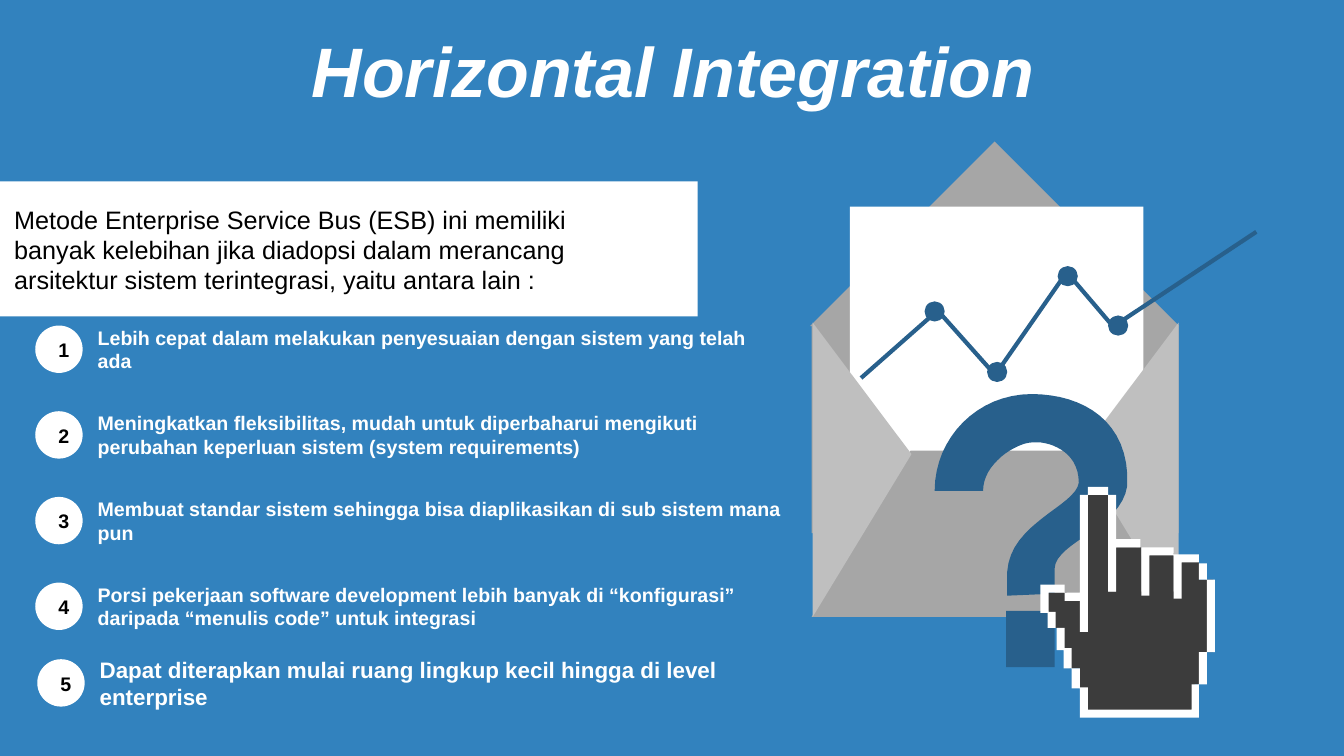
from pptx import Presentation
from pptx.dml.color import RGBColor
from pptx.enum.shapes import MSO_SHAPE
from pptx.enum.text import MSO_ANCHOR, PP_ALIGN
from pptx.util import Inches, Pt

RECT, OVAL = MSO_SHAPE.RECTANGLE, MSO_SHAPE.OVAL
TRIANGLE, RIGHT_TRIANGLE = MSO_SHAPE.ISOSCELES_TRIANGLE, MSO_SHAPE.RIGHT_TRIANGLE
TRAPEZOID = MSO_SHAPE.TRAPEZOID
MIDDLE = MSO_ANCHOR.MIDDLE
LEFT, CENTER = PP_ALIGN.LEFT, PP_ALIGN.CENTER

BLUE, NAVY, WHITE, BLACK = "3282BE", "28608C", "FFFFFF", "000000"
GREY, LIGHT_GREY, CHARCOAL = "A6A6A6", "BFBFBF", "3C3C3C"
UNITS = 1000  # freeform units per inch

INTRO = ("Metode Enterprise Service Bus (ESB) ini memiliki banyak kelebihan jika "
         "diadopsi dalam merancang arsitektur sistem terintegrasi, yaitu antara lain :")
# text, text width
BENEFITS = [
    ("Lebih cepat dalam melakukan penyesuaian dengan sistem yang telah ada", 7),
    ("Meningkatkan fleksibilitas, mudah untuk diperbaharui mengikuti perubahan "
     "keperluan sistem (system requirements)", 7.03),
    ("Membuat standar sistem sehingga bisa diaplikasikan di sub sistem mana pun", 7.15),
    ("Porsi pekerjaan software development lebih banyak di “konfigurasi” "
     "daripada “menulis code” untuk integrasi", 7.19),
]
LAST_BENEFIT = "Dapat diterapkan mulai ruang lingkup kecil hingga di level enterprise"

TREND = [(8.54, 3.75), (9.3, 3.08), (9.87, 3.72), (10.58, 2.7), (11.04, 3.24), (12.46, 2.3)]
DOTS = [(9.27, 3.09), (9.89, 3.69), (10.59, 2.74), (11.09, 3.23)]

# two points make a line, six numbers' worth of points make a Bezier curve
QUESTION_HOOK = [
    [(10.23, 3.91)],
    [(10.74, 3.91), (11.21, 4.18), (11.18, 4.82)],
    [(11.12, 5.24), (10.47, 5.38), (10.46, 5.64)],
    [(10.46, 5.89)],
    [(9.99, 5.91)],
    [(9.99, 5.83), (9.99, 5.75), (9.99, 5.67)],
    [(10.02, 5.19), (10.67, 5.02), (10.7, 4.79)],
    [(10.7, 4.46), (10.38, 4.37), (10.23, 4.39)],
    [(10.07, 4.4), (9.75, 4.6), (9.75, 4.87)],
    [(9.27, 4.87)],
    [(9.27, 4.34), (9.7, 3.91), (10.23, 3.91)],
]

# x, y, then new x and new y in turn
HAND = [10.79, 4.91, 10.99, 5.87, 11.07, 5.43, 11.32, 5.87, 11.39, 5.49, 11.64, 5.87,
        11.65, 5.57, 11.89, 5.75, 12.03, 6.47, 11.89, 6.79, 11.85, 7.06, 10.76, 6.83,
        10.71, 6.63, 10.61, 6.43, 10.51, 6.23, 10.43, 6.08, 10.33, 5.88, 10.58, 5.9,
        10.68, 5.91, 10.76, 5.87, 10.79]
HAND_EDGES = [
    [11.89, 6.47, 11.97, 6.79, 11.89, 7.12, 10.71, 6.82, 10.79, 7.04, 11.82, 6.79, 11.89],
    [10.48, 6.23, 10.56, 6.43, 10.63, 6.63, 10.71, 6.83, 10.63, 6.63, 10.55, 6.45, 10.48],
    [11.97, 5.75, 12.05, 6.47, 11.97],
    [11.89, 5.59, 11.97, 5.75, 11.89],
    [11.32, 5.43, 11.64, 5.5, 11.89, 5.58, 11.72, 5.94, 11.64, 5.51, 11.4, 5.91, 11.32],
    [10.99, 4.91, 11.07, 5.35, 11.31, 5.43, 11.07, 5.87, 10.99],
    [10.71, 4.91, 10.79, 6.27, 10.71, 5.96, 10.56, 5.88, 10.4, 6.07, 10.47, 6.23,
     10.39, 6.08, 10.32, 5.8, 10.56, 5.88, 10.71],
    [10.79, 4.83, 10.99, 4.91, 10.79],
]


def rgb(value):
    return RGBColor.from_string(value)


def stair(coords):
    """Corner points of an outline that turns at right angles."""
    return [(coords[i], coords[i + 1]) if i % 2 == 0 else (coords[i + 1], coords[i])
            for i in range(len(coords) - 1)]


def flatten(segments, steps=16):
    """Points along a chain of lines and cubic curves."""
    points = list(segments[0])
    for seg in segments[1:]:
        if len(seg) == 1:
            points += seg
            continue
        a, (b, c, d) = points[-1], seg
        for i in range(1, steps + 1):
            t = i / steps
            u = 1 - t
            weights = (u ** 3, 3 * u * u * t, 3 * u * t * t, t ** 3)
            points.append(tuple(sum(w * q[k] for w, q in zip(weights, (a, b, c, d)))
                                for k in (0, 1)))
    return points


class Slide:
    font = "Arial"

    def __init__(self, prs, background):
        self.s = prs.slides.add_slide(prs.slide_layouts[6])
        self.s.background.fill.solid()
        self.s.background.fill.fore_color.rgb = rgb(background)

    def paint(self, sp, color):
        sp.shadow.inherit = False
        sp.fill.solid()
        sp.fill.fore_color.rgb = rgb(color)
        sp.line.fill.background()

    def shape(self, kind, x, y, w, h, color, rotation=0, adj=None):
        sp = self.s.shapes.add_shape(kind, Inches(x), Inches(y), Inches(w), Inches(h))
        self.paint(sp, color)
        sp.rotation = rotation
        if adj is not None:
            sp.adjustments[0] = adj

    def outline(self, contours, close=True):
        first, *others = [[(x * UNITS, y * UNITS) for x, y in c] for c in contours]
        fb = self.s.shapes.build_freeform(*first[0], scale=Inches(1) / UNITS)
        fb.add_line_segments(first[1:], close=close)
        for contour in others:
            fb.move_to(*contour[0])
            fb.add_line_segments(contour[1:], close=close)
        return fb.convert_to_shape()

    def area(self, contours, color):
        self.paint(self.outline(contours), color)

    def polyline(self, points, color, width):
        sp = self.outline([points], close=False)
        sp.shadow.inherit = False
        sp.fill.background()
        sp.line.color.rgb = rgb(color)
        sp.line.width = Pt(width)

    def text(self, words, x, y, w, h, size, color, bold=False, italic=False,
             align=LEFT, inset=(0.1, 0.05), spacing=None, before=None):
        tf = self.s.shapes.add_textbox(Inches(x), Inches(y), Inches(w), Inches(h)).text_frame
        tf.word_wrap = True
        tf.vertical_anchor = MIDDLE
        tf.margin_left = tf.margin_right = Inches(inset[0])
        tf.margin_top = tf.margin_bottom = Inches(inset[1])
        p = tf.paragraphs[0]
        p.alignment = align
        if spacing:
            p.line_spacing = spacing
        if before:
            p.space_before = Pt(before)
        r = p.add_run()
        r.text = words
        r.font.name, r.font.size = self.font, Pt(size)
        r.font.bold, r.font.italic = bold, italic
        r.font.color.rgb = rgb(color)

    def benefit(self, number, words, x, y, width, size=14):
        """Numbered disc with its text centred beside it."""
        self.shape(OVAL, x, y, 0.47, 0.47, WHITE)
        self.text(words, x + 0.52, y - 0.05, width, 0.57, size, WHITE, bold=True)
        self.text(str(number), x + 0.13, y + 0.12, 0.22, 0.24, 14, BLACK, bold=True,
                  align=CENTER, inset=(0.1, 0))


def main():
    prs = Presentation()
    prs.slide_width, prs.slide_height = Inches(13.33), Inches(7.5)
    s = Slide(prs, BLUE)
    s.text("Horizontal Integration", 0.35, 0.37, 12.66, 0.79, 50, WHITE, bold=True,
           italic=True, align=CENTER, spacing=0.8, before=10)

    # Envelope with letter
    s.shape(RECT, 8.05, 3.23, 3.64, 2.06, GREY)
    s.shape(RIGHT_TRIANGLE, 8.57, 1.94, 2.59, 2.59, GREY, rotation=135)
    s.shape(RECT, 8.43, 2.05, 2.91, 4.01, WHITE)
    s.shape(TRAPEZOID, 8.05, 4.47, 3.66, 1.65, GREY, adj=0.595)
    s.shape(TRIANGLE, 7.09, 4.17, 2.92, 0.98, LIGHT_GREY, rotation=90, adj=0.447)
    s.shape(TRIANGLE, 9.74, 4.17, 2.92, 0.98, LIGHT_GREY, rotation=270, adj=0.553)

    # Trend line
    s.polyline(TREND, NAVY, 3)
    for x, y in DOTS:
        s.shape(OVAL, x - 0.1, y - 0.1, 0.2, 0.2, NAVY)

    # Question mark and pointing hand
    s.area([flatten(QUESTION_HOOK)], NAVY)
    s.shape(RECT, 9.98, 6.06, 0.48, 0.56, NAVY)
    s.area([stair(HAND)], CHARCOAL)
    s.area([stair(edge) for edge in HAND_EDGES], WHITE)

    # Introduction and benefits
    s.shape(RECT, 0, 1.8, 6.92, 1.34, WHITE)
    for i, (words, width) in enumerate(BENEFITS):
        s.benefit(i + 1, words, 0.35, 3.23 + 0.85 * i, width)
    s.text(INTRO, 0.14, 2.02, 6.32, 0.91, 18, BLACK, inset=(0, 0))
    s.benefit(len(BENEFITS) + 1, LAST_BENEFIT, 0.37, 6.54, 7.19, size=16)

    prs.save("out.pptx")


if __name__ == "__main__":
    main()
